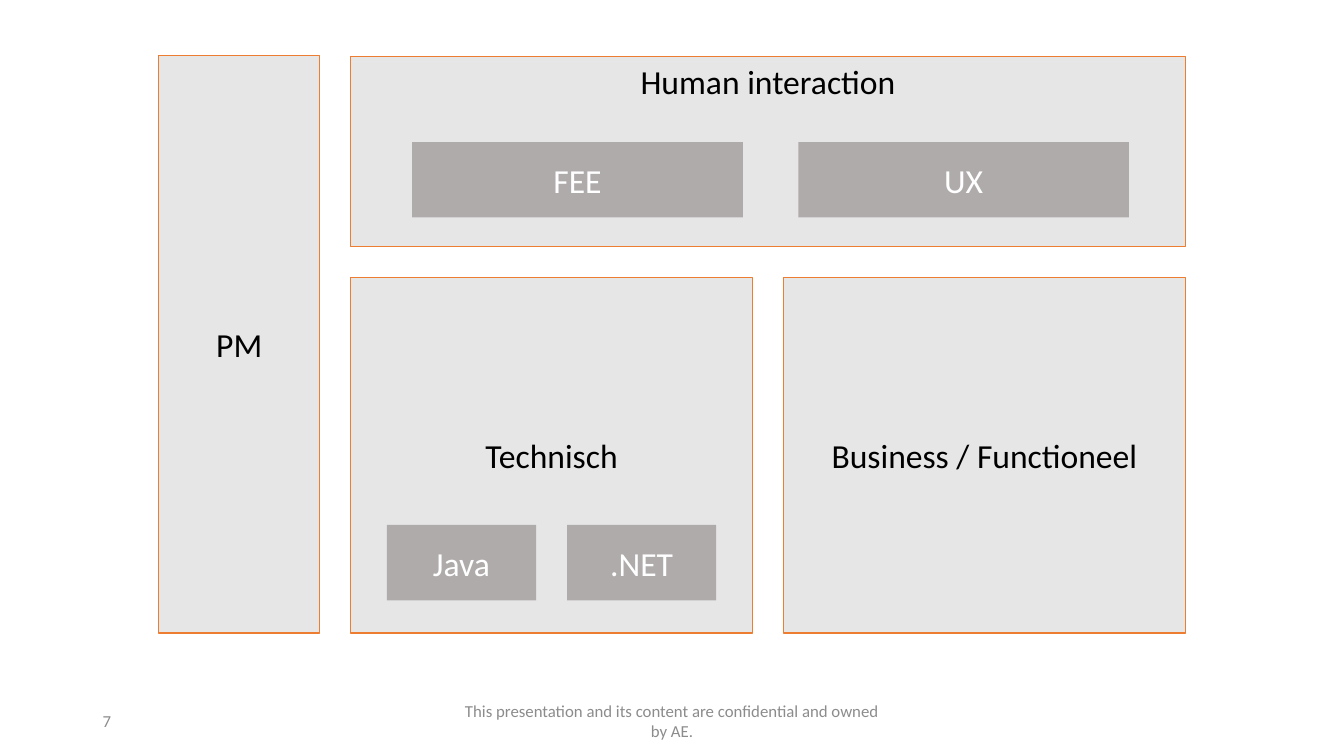
from dataclasses import dataclass
from typing import Optional

from pptx import Presentation
from pptx.dml.color import RGBColor as RGB
from pptx.enum.shapes import MSO_SHAPE as Shape
from pptx.enum.text import MSO_ANCHOR as Anchor, PP_ALIGN as Align
from pptx.util import Cm, Pt


@dataclass(frozen=True)
class Theme:
    font: str = "Calibri"
    panel: RGB = RGB(0xE7, 0xE6, 0xE6)
    border: RGB = RGB(0xED, 0x7D, 0x31)
    chip: RGB = RGB(0xAF, 0xAB, 0xAB)
    dark: RGB = RGB(0, 0, 0)
    light: RGB = RGB(0xFF, 0xFF, 0xFF)
    muted: RGB = RGB(0x8C, 0x8C, 0x8C)
    label_size: Pt = Pt(24)
    footer_size: Pt = Pt(12)
    border_width: Pt = Pt(1)


@dataclass(frozen=True)
class Box:
    """A labelled rectangle, in centimetres."""
    text: str
    left: float
    top: float
    width: float
    height: float
    anchor: Anchor = Anchor.MIDDLE
    align: Optional[Align] = Align.CENTER

    def frame(self) -> list[Cm]:
        return [Cm(v) for v in (self.left, self.top, self.width, self.height)]


@dataclass(frozen=True)
class ChipRow:
    labels: tuple[str, ...]
    left: float
    top: float
    width: float
    gap: float

    def boxes(self) -> list[Box]:
        step = self.width + self.gap
        return [Box(label, self.left + i * step, self.top, self.width, CHIP_HEIGHT)
                for i, label in enumerate(self.labels)]


THEME = Theme()
GAP = 0.78
CHIP_HEIGHT = 1.9

TOP, BOTTOM = 1.4, 15.95
LEFT, PM_WIDTH = 4.0, 4.06
AREA_LEFT, AREA_WIDTH = LEFT + PM_WIDTH + GAP, 21.03
HUMAN_TOP, HUMAN_HEIGHT = 1.42, 4.8
LOWER_TOP = HUMAN_TOP + HUMAN_HEIGHT + GAP
LOWER_HEIGHT = BOTTOM - LOWER_TOP
HALF = (AREA_WIDTH - GAP) / 2

PANELS = [
    Box("Technisch", AREA_LEFT, LOWER_TOP, HALF, LOWER_HEIGHT),
    Box("Business / Functioneel", AREA_LEFT + HALF + GAP, LOWER_TOP, HALF, LOWER_HEIGHT),
    Box("Human interaction", AREA_LEFT, HUMAN_TOP, AREA_WIDTH, HUMAN_HEIGHT, Anchor.TOP),
    Box("PM", LEFT, TOP, PM_WIDTH, BOTTOM - TOP),
]
CHIP_ROWS = [
    ChipRow(("FEE", "UX"), 10.39, 3.58, 8.33, 1.4),
    ChipRow(("Java", ".NET"), 9.75, 13.23, 3.76, GAP),
]
FOOTERS = [
    Box("This presentation and its content are confidential and owned by AE.",
        11.22, 17.65, 11.43, 1.02),
    Box("7", 2.34, 17.65, 7.62, 1.02, align=None),
]


def write_text(sp, box: Box, size: Pt, color: RGB) -> None:
    tf = sp.text_frame
    tf.word_wrap = True
    tf.vertical_anchor = box.anchor
    p = tf.paragraphs[0]
    p.alignment = box.align
    r = p.add_run()
    r.text = box.text
    for name, value in {"name": THEME.font, "size": size}.items():
        setattr(r.font, name, value)
    r.font.color.rgb = color


def add_box(slide, box: Box, fill: RGB, color: RGB, border: Optional[RGB] = None) -> None:
    sp = slide.shapes.add_shape(Shape.RECTANGLE, *box.frame())
    sp.shadow.inherit = False
    sp.fill.solid()
    sp.fill.fore_color.rgb = fill
    if border is None:
        sp.line.fill.background()
    else:
        sp.line.color.rgb = border
        sp.line.width = THEME.border_width
    write_text(sp, box, THEME.label_size, color)


def main() -> None:
    prs = Presentation()
    prs.slide_width, prs.slide_height = Cm(33.87), Cm(19.05)
    slide = prs.slides.add_slide(prs.slide_layouts[6])
    for box in FOOTERS:
        sp = slide.shapes.add_textbox(*box.frame())
        write_text(sp, box, THEME.footer_size, THEME.muted)
    for box in PANELS:
        add_box(slide, box, THEME.panel, THEME.dark, THEME.border)
    for row in CHIP_ROWS:
        for box in row.boxes():
            add_box(slide, box, THEME.chip, THEME.light)
    prs.save("out.pptx")


if __name__ == "__main__":
    main()
